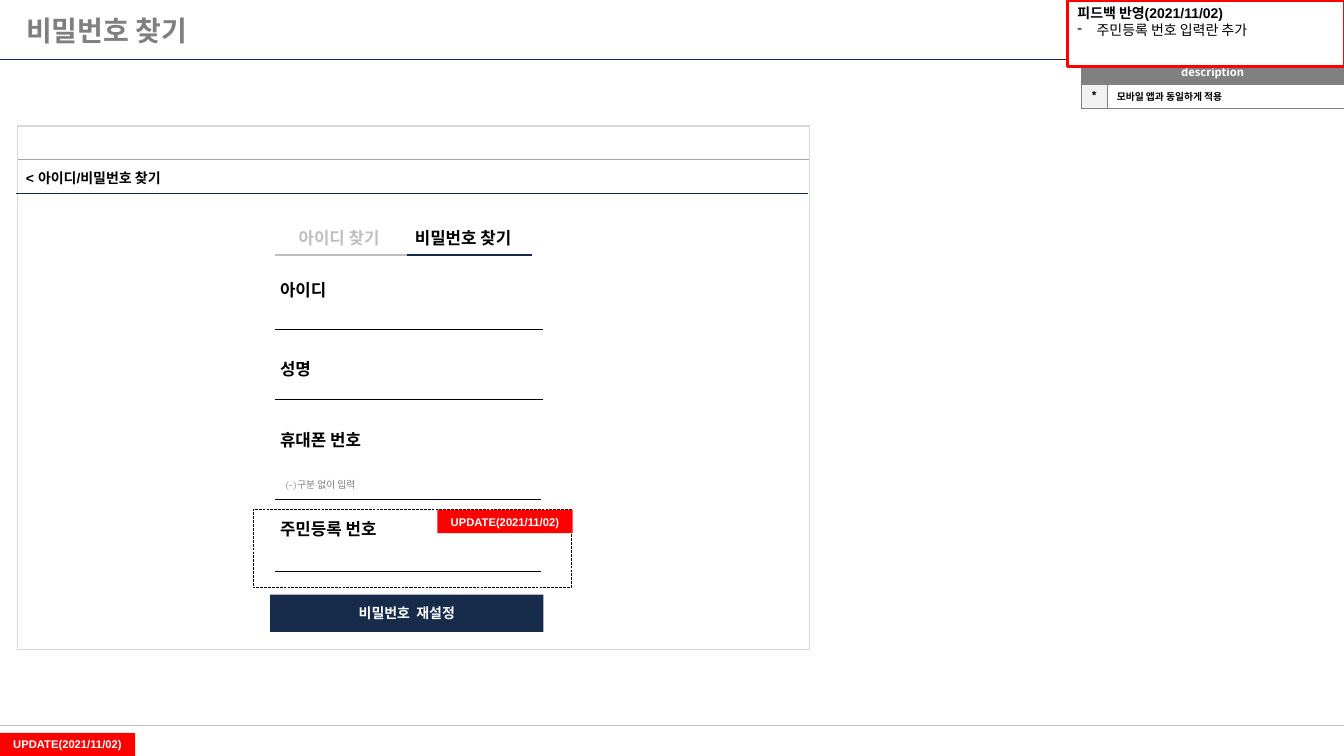
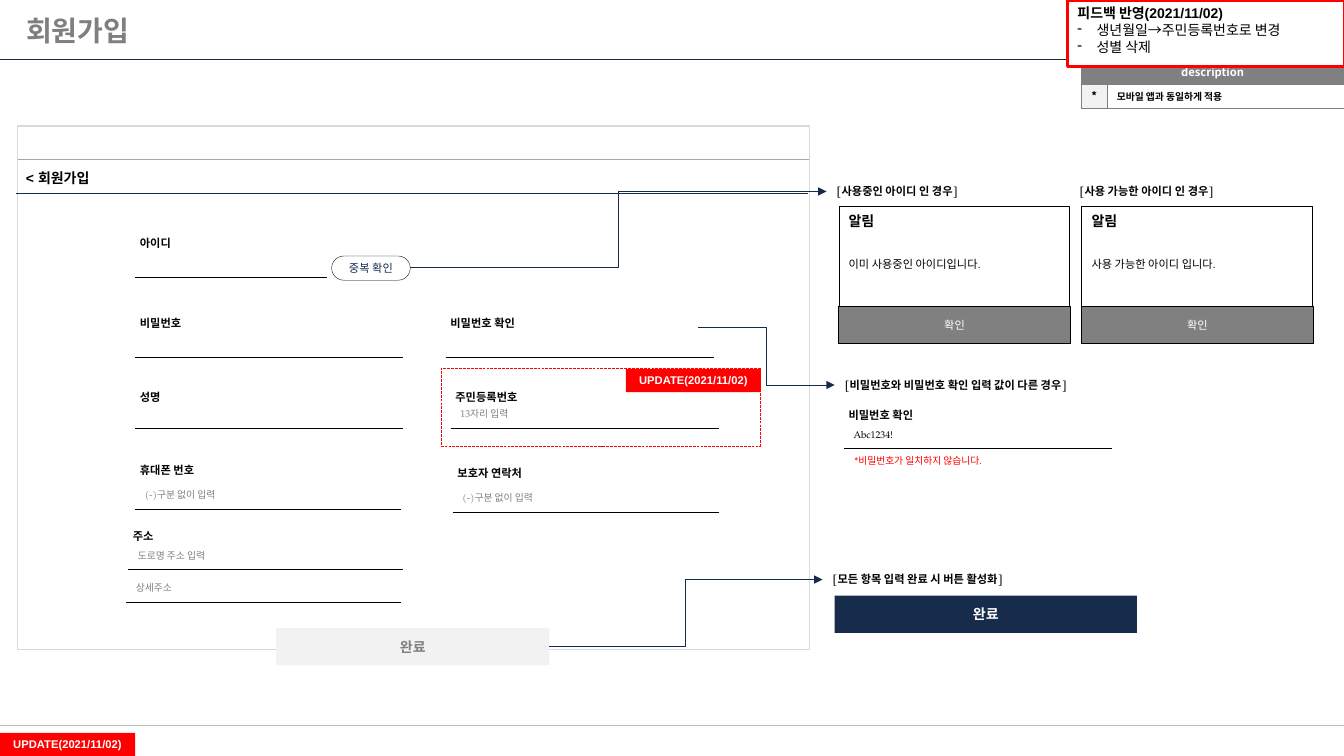
from dataclasses import dataclass

from lxml.etree import SubElement
from pptx import Presentation
from pptx.dml.color import RGBColor
from pptx.enum.dml import MSO_LINE
from pptx.enum.shapes import MSO_CONNECTOR as CONN, MSO_SHAPE as SHAPE
from pptx.enum.text import MSO_ANCHOR as ANCHOR, MSO_AUTO_SIZE as AUTO, PP_ALIGN as ALIGN
from pptx.oxml.ns import qn
from pptx.util import Inches, Pt

COLS, ROWS = 133.33, 75  # grid of 0.1 inch cells
TITLE_ONLY = 5
UPDATE = "UPDATE(2021/11/02)"


@dataclass(frozen=True)
class Theme:
    navy: str = "152A4B"
    button: str = "172B4B"
    black: str = "000000"
    white: str = "FFFFFF"
    red: str = "FF0000"
    grey: str = "808080"
    title_grey: str = "7F7F7F"
    rule: str = "A6A6A6"
    muted: str = "BFBFBF"
    border: str = "D9D9D9"
    pale: str = "F2F2F2"
    head_font: str = "TeX Gyre Adventor"
    body_font: str = "TeX Gyre Pagella"
    note_font: str = "Arial"
    korean_font: str = "Noto Sans CJK KR"
    title: float = 20
    large: float = 12
    medium: float = 10
    small: float = 8
    tiny: float = 7
    hair: float = 0.25
    thin: float = 0.75


T = Theme()


def grid(*cells):
    return [Inches(c / 10) for c in cells]


def rgb(colour):
    return RGBColor.from_string(colour)


def style(p, size, colour=T.black, bold=False, font=T.body_font, align=ALIGN.LEFT):
    p.alignment = align
    for r in p.runs:
        f = r.font
        f.size, f.bold, f.name = Pt(size), bold, font
        f.color.rgb = rgb(colour)
        SubElement(f._element, qn("a:ea"), typeface=T.korean_font)


def bullet(p):
    pPr = p._p.get_or_add_pPr()
    pPr.set("marL", str(Inches(0.19)))
    pPr.set("indent", str(-Inches(0.19)))
    SubElement(pPr, qn("a:buChar"), char="-")


def cell_borders(cell):
    tcPr = cell._tc.get_or_add_tcPr()
    for side in ("lnL", "lnR", "lnT", "lnB"):
        ln = SubElement(tcPr, qn(f"a:{side}"), w=str(Pt(T.hair)))
        fill = SubElement(ln, qn("a:solidFill"))
        SubElement(fill, qn("a:srgbClr"), val=T.grey)


class Screen:
    """One slide, with the shared style; every length is in grid cells."""

    def __init__(self, prs, title, heading):
        self.s = prs.slides.add_slide(prs.slide_layouts[TITLE_ONLY])
        self.line(0, 72, COLS, 72, T.muted, 1)
        self.line(0, 5.9, COLS, 5.9, T.navy, T.thin)
        self.box(1.7, 12.5, 78.6, 51.9, T.white, T.border, T.thin)
        self.line(1.8, 15.8, 80.3, 15.8, T.rule)
        self.title(title)
        self.description("모바일 앱과 동일하게 적용")
        self.text(1.6, 16.3, 30, "< " + heading, T.medium, bold=True, font=T.note_font)
        self.line(1.6, 19.2, 80.2, 19.2, T.navy)
        self.update_tag(0, 72.7)

    def title(self, text):
        sp = self.s.shapes.title
        sp.left, sp.top, sp.width, sp.height = grid(1.6, 0.3, 130.3, 5.4)
        tf = sp.text_frame
        tf.text = text
        tf.auto_size, tf.vertical_anchor = AUTO.NONE, ANCHOR.MIDDLE
        style(tf.paragraphs[0], T.title, T.title_grey, True, T.head_font)

    def description(self, text):
        table = self.s.shapes.add_table(2, 2, *grid(107.3, 5.9, 26, 4.2)).table
        for col, width in zip(table.columns, grid(2.5, 23.5)):
            col.width = width
        for row in table.rows:
            row.height = Inches(0.21)
        table.cell(0, 0).merge(table.cell(0, 1))
        for cell in table.iter_cells():
            cell_borders(cell)
            cell.vertical_anchor = ANCHOR.MIDDLE
        for row, col, words, size, colour, fill in (
            (0, 0, "description", T.small, T.white, T.grey),
            (1, 0, "*", T.small, T.black, T.pale),
            (1, 1, text, T.tiny, T.black, None),
        ):
            cell = table.cell(row, col)
            cell.text = words
            align = ALIGN.LEFT
            if fill:
                cell.fill.solid()
                cell.fill.fore_color.rgb = rgb(fill)
                cell.margin_left = cell.margin_right = Inches(0.04)
                cell.margin_top = cell.margin_bottom = Inches(0.04)
                align = ALIGN.CENTER
            else:
                cell.fill.background()
            style(cell.text_frame.paragraphs[0], size, colour, True, T.korean_font, align)

    def line(self, x1, y1, x2, y2, colour=T.black, width=T.hair, kind=CONN.STRAIGHT):
        sp = self.s.shapes.add_connector(kind, *grid(x1, y1, x2, y2))
        sp.line.color.rgb, sp.line.width = rgb(colour), Pt(width)
        SubElement(sp._element.spPr, qn("a:effectLst"))
        return sp

    def arrow(self, x1, y1, x2, y2):
        sp = self.line(x1, y1, x2, y2, T.navy, T.thin, CONN.ELBOW)
        SubElement(sp.line._get_or_add_ln(), qn("a:tailEnd"), type="triangle")

    def box(self, x, y, w, h, fill=None, line=None, width=T.hair, radius=None):
        kind = SHAPE.RECTANGLE if radius is None else SHAPE.ROUNDED_RECTANGLE
        sp = self.s.shapes.add_shape(kind, *grid(x, y, w, h))
        sp.shadow.inherit = False
        if radius is not None:
            sp.adjustments[0] = radius
        if fill:
            sp.fill.solid()
            sp.fill.fore_color.rgb = rgb(fill)
        else:
            sp.fill.background()
        if line:
            sp.line.color.rgb, sp.line.width = rgb(line), Pt(width)
        else:
            sp.line.fill.background()
        return sp

    def label(self, sp, text, size, colour, bold=False, font=T.body_font):
        """Centre one line of text in a shape."""
        tf = sp.text_frame
        tf.text, tf.vertical_anchor = text, ANCHOR.MIDDLE
        style(tf.paragraphs[0], size, colour, bold, font, ALIGN.CENTER)

    def text(self, x, y, w, text, size, colour=T.black, bold=False,
             font=T.body_font, align=ALIGN.LEFT):
        sp = self.s.shapes.add_textbox(*grid(x, y, w, 1 + size / 6))
        tf = sp.text_frame
        tf.text, tf.word_wrap = text, True
        style(tf.paragraphs[0], size, colour, bold, font, align)

    def field(self, x, y, w, label=None, label_y=None, hint=None,
              size=T.small, hint_colour=T.grey):
        """An input line at x, y with its label above and an optional hint."""
        if label:
            self.text(x - 0.5, label_y, 12.7, label, size, bold=True)
        if hint:
            self.text(x, y - 2.5, 12.7, hint, T.tiny, hint_colour)
        self.line(x, y, x + w, y)

    def button(self, x, y, w, text, fill=T.button, colour=T.white):
        self.label(self.box(x, y, w, 3.7, fill, radius=0), text, T.medium, colour, True)

    def caption(self, x, y, text):
        self.text(x, y, 25.3, f"[{text}]", T.small, bold=True)

    def popup(self, x, caption_x, caption, message):
        self.caption(caption_x, 17.8, caption)
        self.box(x, 20.5, 22.9, 13.6, T.white, T.black)
        self.text(x, 20.6, 19.9, "알림", T.medium, bold=True)
        self.text(x, 25, 22.9, message, T.small)
        self.label(self.box(x, 30.4, 23, 3.7, T.grey, T.black), "확인", T.small, T.white)

    def update_tag(self, x, y):
        self.label(self.box(x, y, 13.4, 2.3, T.red), UPDATE, T.small, T.white, True, T.note_font)

    def update_area(self, x, y, colour):
        sp = self.box(x, y, 31.6, 7.8, line=colour)
        sp.line.dash_style = MSO_LINE.LONG_DASH
        self.update_tag(x + 18.3, y + 0.1)

    def feedback(self, *changes):
        tf = self.box(105.9, 0, 27.5, 6.6, T.white, T.red, 2.25).text_frame
        tf.vertical_anchor, tf.word_wrap = ANCHOR.TOP, True
        tf.text = "\n".join(("피드백 반영(2021/11/02)",) + changes)
        for i, p in enumerate(tf.paragraphs):
            if i:
                bullet(p)
            style(p, T.medium, bold=i == 0, font=T.note_font)


def find_password(prs):
    sc = Screen(prs, "비밀번호 찾기", "아이디/비밀번호 찾기")
    sc.line(27.3, 25.3, 52.8, 25.3, T.muted, T.thin)
    sc.line(40.4, 25.3, 52.8, 25.3, T.navy, 1.5)
    for x, tab, colour in ((27.3, "아이디 찾기", T.muted), (39.6, "비밀번호 찾기", T.black)):
        sc.text(x, 22.1, 12.7, tab, T.large, colour, True, align=ALIGN.CENTER)
    for label, label_y, y, w, hint in (
        ("아이디", 27.3, 32.7, 26.6, None),
        ("성명", 35.1, 39.6, 26.6, None),
        ("휴대폰 번호", 42.1, 49.5, 26.4, "(-)구분 없이 입력"),
        ("주민등록 번호", 51, 56.7, 26.4, None),
    ):
        sc.field(27.3, y, w, label, label_y, hint, T.large)
    sc.button(26.8, 59, 27.1, "비밀번호  재설정")
    sc.update_area(25.1, 50.5, T.black)
    sc.feedback("주민등록 번호 입력란 추가")


def sign_up(prs):
    sc = Screen(prs, "회원가입", "회원가입")
    for x, y, w, label, label_y, hint in (
        (13.4, 27.5, 19, "아이디", 23, None),
        (13.4, 35.4, 26.6, "비밀번호", 30.9, None),
        (44.2, 35.4, 26.6, "비밀번호 확인", 30.9, None),
        (13.4, 42.5, 26.6, "성명", 38.2, None),
        (44.7, 42.5, 26.6, "주민등록번호", 38.2, "13자리 입력"),
        (13.4, 50.5, 26.4, "휴대폰 번호", 45.5, "(-)구분 없이 입력"),
        (44.9, 50.8, 26.4, "보호자 연락처", 45.8, "(-)구분 없이 입력"),
        (12.7, 56.5, 27.3, "주소", 52, "도로명 주소 입력"),
        (12.5, 59.7, 27.3, None, None, "상세주소"),
    ):
        sc.field(x, y, w, label, label_y, hint)
    check = sc.box(32.9, 25.4, 7.8, 2.4, T.white, T.black, radius=0.5)
    sc.label(check, "중복 확인", T.small, T.button)
    sc.button(27.4, 62.3, 27.1, "완료", T.pale, T.grey)

    sc.popup(83.2, 82, "사용중인 아이디 인 경우", "이미 사용중인 아이디입니다.")
    sc.popup(107.3, 106.1, "사용 가능한 아이디 인 경우", "사용 가능한 아이디 입니다.")
    sc.caption(82.8, 37, "비밀번호와 비밀번호 확인 입력 값이 다른 경우")
    sc.field(83.7, 44.5, 26.6, "비밀번호 확인", 40, "Abc1234!", hint_colour=T.black)
    sc.text(83.8, 44.6, 21.4, "*비밀번호가 일치하지 않습니다.", T.tiny, T.red)
    sc.caption(81.6, 56.3, "모든 항목 입력 완료 시 버튼 활성화")
    sc.button(82.8, 59.1, 30, "완료")

    sc.arrow(40.7, 26.5, 82, 19)
    sc.arrow(69.2, 32.5, 82.8, 38.2)
    sc.arrow(54.5, 64.1, 81.6, 57.5)
    sc.update_area(43.8, 36.5, T.red)
    sc.feedback("생년월일→주민등록번호로 변경", "성별 삭제")


def main():
    prs = Presentation()
    prs.slide_width, prs.slide_height = grid(COLS, ROWS)
    find_password(prs)
    sign_up(prs)
    prs.save("out.pptx")


if __name__ == "__main__":
    main()
